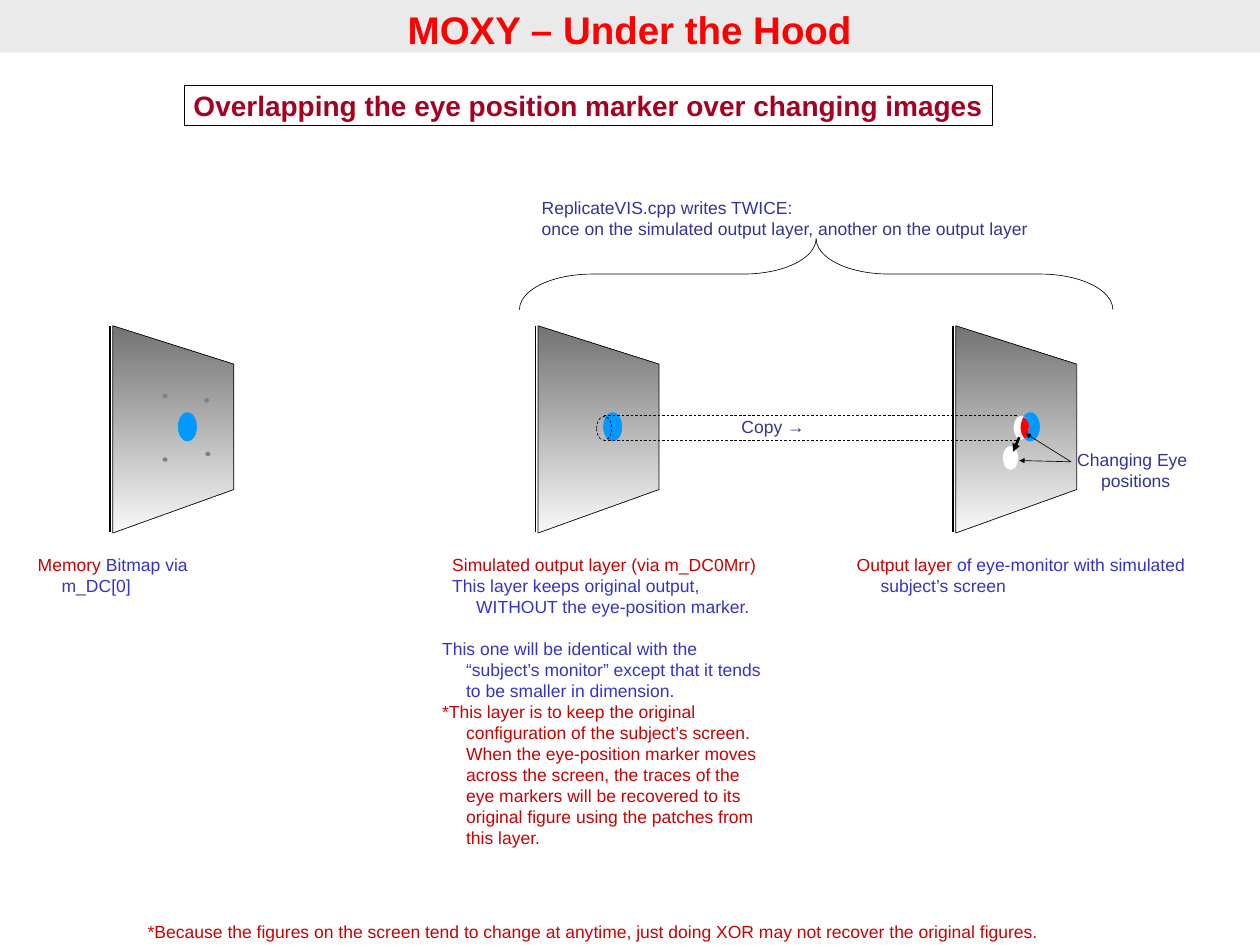
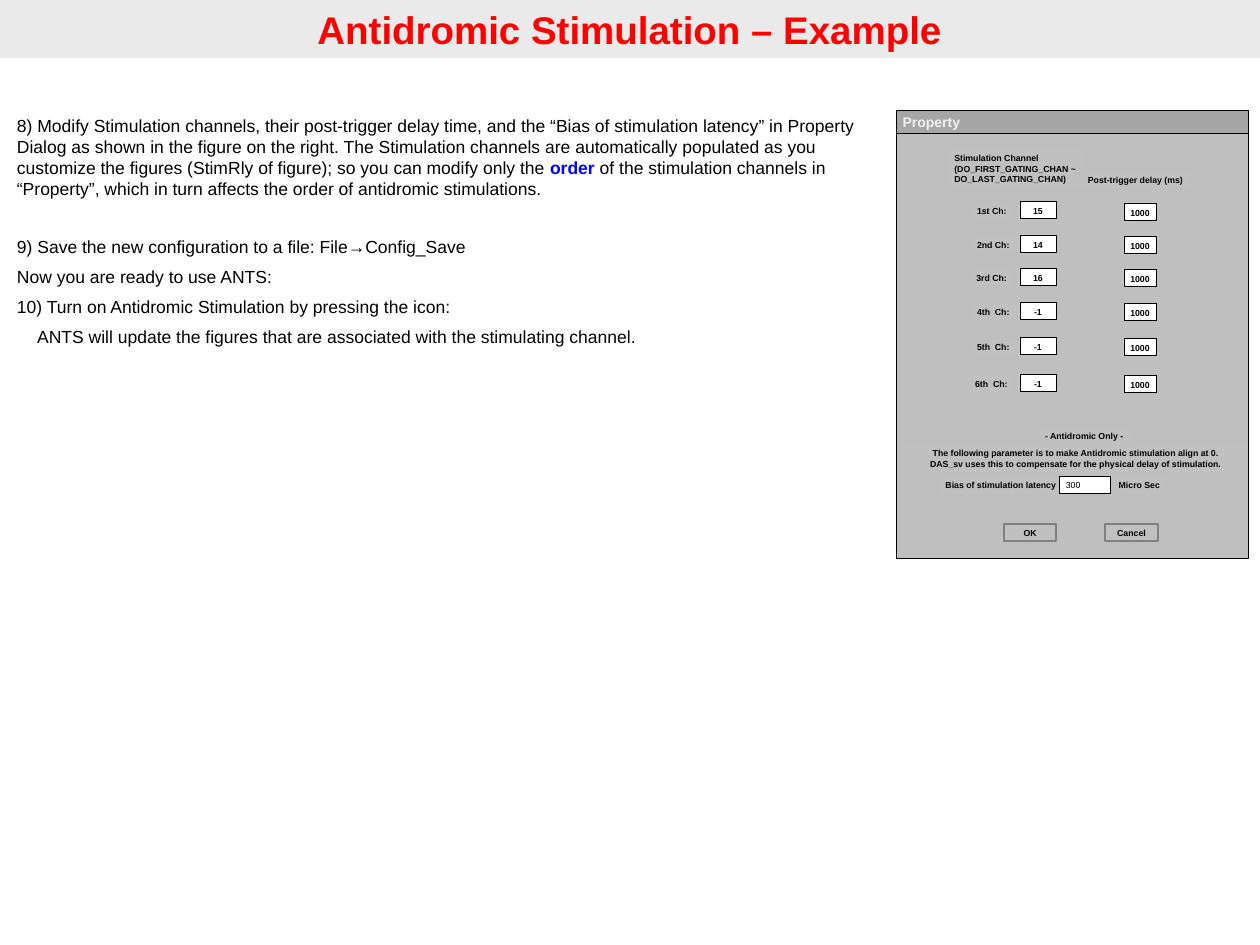
from dataclasses import dataclass

from lxml import etree
from pptx import Presentation
from pptx.dml.color import RGBColor
from pptx.enum import dml, shapes, text
from pptx.oxml.ns import qn
from pptx.util import Emu, Pt

PX = 9144
SLIDE_W, SLIDE_H = 2000, 1500
HANG = 38


@dataclass(frozen=True)
class Theme:
    font: str = "Arial"
    title_size: int = 44
    heading_size: int = 32
    body_size: int = 20
    bar_size: int = 16
    dialog_size: int = 10
    hairline: float = 0.75
    thick: float = 2.25
    heavy: float = 3
    title: str = "FF0000"
    band: str = "EAEAEA"
    heading: str = "A50021"
    red: str = "CC0000"
    blue: str = "3333CC"
    navy: str = "333399"
    accent: str = "0000FF"
    black: str = "000000"
    white: str = "FFFFFF"
    eye: str = "0099FF"
    marker: str = "FF0000"
    grey: str = "808080"
    shade_top: str = "737373"
    shade_bottom: str = "F8F8F8"
    dialog: str = "BFBFBF"
    label: str = "C0C0C0"
    bar: str = "A6A6A6"
    bar_text: str = "F2F2F2"


T = Theme()
LEFT, CENTER = text.PP_ALIGN.LEFT, text.PP_ALIGN.CENTER
TOP, MIDDLE = text.MSO_ANCHOR.TOP, text.MSO_ANCHOR.MIDDLE
RECT, OVAL = shapes.MSO_SHAPE.RECTANGLE, shapes.MSO_SHAPE.OVAL

HOOD_TITLE = "MOXY – Under the Hood"
HOOD_HEADING = "Overlapping the eye position marker over changing images"
SCREENS = [179, 854, 1517]
SCREEN_OUTLINE = [(0, 517), (0, 846), (192, 777), (192, 578)]
DOTS = [(258, 726), (258, 625), (326, 717), (324, 632)]
CAPTIONS = [
    ((50, 875, 375, 77), [[("Memory ", T.red), ("Bitmap via m_DC[0]", T.blue)]]),
    ((708, 875, 508, 110), [
        [("Simulated output layer (via m_DC0Mrr)", T.red)],
        [("This layer keeps original output, WITHOUT the eye-position marker.", T.blue)]]),
    ((1350, 875, 600, 77), [
        [("Output layer", T.red),
         (" of eye-monitor with simulated subject’s screen", T.blue)]]),
    ((692, 1008, 542, 343), [
        [("This one will be identical with the “subject’s monitor” except that it "
          "tends to be smaller in dimension.", T.blue)],
        [("*This layer is to keep the original configuration of the subject’s screen. "
          "When the eye-position marker moves across the screen, the traces of the eye "
          "markers will be recovered to its original figure using the patches from this "
          "layer.", T.red)]]),
    ((1700, 708, 242, 77), [[("Changing Eye positions", T.navy)]]),
    ((850, 308, 875, 77), [
        [("ReplicateVIS.cpp writes TWICE:", T.navy)],
        [("once on the simulated output layer, another on the output layer", T.navy)]]),
    ((1167, 656, 242, 43), [[("Copy →", T.navy)]]),
]
FOOTNOTE = [[("*Because the figures on the screen tend to change at anytime, just doing XOR "
              "may not recover the original figures.", T.red)]]
OVERLAP_START = (1625, 662)
OVERLAP_CURVES = [
    ((1622, 666), (1620, 674), (1620, 680)),
    ((1621, 688), (1623, 693), (1627, 696)),
    ((1630, 693), (1633, 689), (1633, 679)),
    ((1634, 668), (1628, 664), (1625, 662)),
]
COPY_LINES = [660, 699]
ARROWS = [
    ((1700, 733), (1628, 688), T.hairline),
    ((1700, 733), (1618, 731), T.hairline),
    ((1618, 694), (1608, 717), T.heavy),
]

STIM_TITLE = "Antidromic Stimulation – Example"
STEPS = [
    (0, 0, [
        ("8) Modify Stimulation channels, their post-trigger delay time, and the “Bias of "
         "stimulation latency” in Property Dialog as shown in the figure on the right. The "
         "Stimulation channels are automatically populated as you customize the figures "
         "(StimRly of figure); so you can modify only the ", T.black),
        ("order ", T.accent, True),
        ("of the stimulation channels in “Property”, which in turn affects the order of "
         "antidromic stimulations.", T.black)]),
    (43, 0, [("9) Save the new configuration to a file: File→Config_Save", T.black)]),
    (10, 0, [("Now you are ready to use ANTS:", T.black)]),
    (10, 0, [("10) Turn on Antidromic Stimulation by pressing the icon:", T.black)]),
    (10, 32, [("ANTS will update the figures that are associated with the stimulating "
               "channel.", T.black)]),
]
CHANNELS = [
    ("1st Ch:", 1541, 68, 320, "15", "1000"),
    ("2nd Ch:", 1541, 72, 373, "14", "1000"),
    ("3rd Ch:", 1540, 69, 426, "16", "1000"),
    ("4th  Ch:", 1541, 72, 480, "-1", "1000"),
    ("5th  Ch:", 1541, 72, 535, "-1", "1000"),
    ("6th  Ch:", 1538, 72, 594, "-1", "1000"),
]
DIALOG_LABELS = [
    ((1505, 237, 217, 61),
     ["Stimulation Channel", "(DO_FIRST_GATING_CHAN ~", "DO_LAST_GATING_CHAN)"]),
    ((1717, 273, 173, 27), ["Post-trigger delay (ms)"]),
    ((1649, 679, 146, 27), ["- Antidromic Only -"]),
    ((1491, 757, 197, 27), ["Bias of stimulation latency"]),
    ((1766, 757, 86, 27), ["Micro Sec"]),
]
DIALOG_NOTE = ["The following parameter is to make Antidromic stimulation align at 0.",
               "DAS_sv uses this to compensate for the physical delay of stimulation."]
BUTTONS = [("OK", 1593), ("Cancel", 1754)]


def emu(*lengths):
    return [Emu(round(n * PX)) for n in lengths]


def rgb(value):
    return RGBColor.from_string(value)


def paint(sp, fill=None, line=None, weight=T.hairline):
    sp.shadow.inherit = False
    if fill:
        sp.fill.solid()
        sp.fill.fore_color.rgb = rgb(fill)
    else:
        sp.fill.background()
    if line:
        sp.line.color.rgb = rgb(line)
        sp.line.width = Pt(weight)
    else:
        sp.line.fill.background()
    return sp


def add_preset(slide, kind, at, fill=None, line=None, weight=T.hairline):
    return paint(slide.shapes.add_shape(kind, *emu(*at)), fill, line, weight)


def set_indent(p, left, first):
    pPr = p._p.get_or_add_pPr()
    pPr.set("marL", str(left * PX))
    pPr.set("indent", str(first * PX))


def add_runs(p, runs, size, bold=False):
    for words, color, *strong in runs:
        r = p.add_run()
        r.text = words
        r.font.name = T.font
        r.font.size = Pt(size)
        r.font.bold = strong[0] if strong else bold
        r.font.color.rgb = rgb(color)


def write(sp, paragraphs, size=T.body_size, bold=False, align=LEFT, anchor=TOP,
          wrap=True, grow=True, hang=0, margins=(10, 5, 10, 5)):
    tf = sp.text_frame
    tf.word_wrap = wrap
    tf.auto_size = text.MSO_AUTO_SIZE.SHAPE_TO_FIT_TEXT if grow else text.MSO_AUTO_SIZE.NONE
    tf.vertical_anchor = anchor
    tf.margin_left, tf.margin_top, tf.margin_right, tf.margin_bottom = emu(*margins)
    for i, runs in enumerate(paragraphs):
        p = tf.add_paragraph() if i else tf.paragraphs[0]
        p.alignment = align
        if hang:
            set_indent(p, hang, -hang)
        add_runs(p, runs, size, bold)
    return tf


def add_text(slide, at, paragraphs, **style):
    return write(slide.shapes.add_textbox(*emu(*at)), paragraphs, **style)


def add_line(slide, start, end, weight=T.hairline, dash=False, arrow=False):
    c = slide.shapes.add_connector(shapes.MSO_CONNECTOR.STRAIGHT, *emu(*start, *end))
    c.line.color.rgb = rgb(T.black)
    c.line.width = Pt(weight)
    if dash:
        c.line.dash_style = dml.MSO_LINE.DASH
    if arrow:
        etree.SubElement(c.line._get_or_add_ln(), qn("a:tailEnd"), type="triangle")
    etree.SubElement(c._element.spPr, qn("a:effectLst"))


def add_outline(slide, points):
    first, *rest = [tuple(emu(*point)) for point in points]
    builder = slide.shapes.build_freeform(*first, scale=1.0)
    builder.add_line_segments(rest, close=True)
    return builder.convert_to_shape()


def bezier_points(start, curves, steps=8):
    points = [start]
    for a, b, end in curves:
        for t in (i / steps for i in range(1, steps + 1)):
            s = 1 - t
            points.append(tuple(
                s**3 * p0 + 3 * s * s * t * p1 + 3 * s * t * t * p2 + t**3 * p3
                for p0, p1, p2, p3 in zip(start, a, b, end)))
        start = end
    return points


def add_titled_slide(prs, title, band_height):
    slide = prs.slides.add_slide(prs.slide_layouts[5])
    sp = slide.shapes.title
    sp.left, sp.top, sp.width, sp.height = emu(0, 0, SLIDE_W, band_height)
    sp.fill.solid()
    sp.fill.fore_color.rgb = rgb(T.band)
    write(sp, [[(title, T.title)]], size=T.title_size, bold=True, align=CENTER,
          grow=False, margins=(10, 10, 10, 0))
    return slide


def add_screen(slide, x):
    sp = paint(add_outline(slide, [(x + dx, y) for dx, y in SCREEN_OUTLINE]), line=T.black)
    sp.fill.gradient()
    sp.fill.gradient_angle = 270
    for stop, color in zip(sp.fill.gradient_stops, (T.shade_top, T.shade_bottom)):
        stop.color.rgb = rgb(color)
    add_preset(slide, OVAL, (x + 104, 655, 29, 45), T.eye, T.eye)
    add_line(slide, (x - 4, 845), (x - 4, 517), T.thick)


def build_hood(prs):
    slide = add_titled_slide(prs, HOOD_TITLE, 83)
    for x in SCREENS:
        add_screen(slide, x)
    for x, y in DOTS:
        add_preset(slide, OVAL, (x, y, 8, 7), T.grey)
    brace = add_preset(slide, shapes.MSO_SHAPE.RIGHT_BRACE, (1239, -36, 113, 942),
                       line=T.black)
    brace.rotation = 270
    brace.adjustments[0], brace.adjustments[1] = 1.02, 0.5
    for at, paragraphs in CAPTIONS:
        add_text(slide, at, paragraphs, hang=HANG)
    add_preset(slide, OVAL, (1609, 660, 24, 38), T.white)
    paint(add_outline(slide, bezier_points(OVERLAP_START, OVERLAP_CURVES)), T.marker)
    ghost = add_preset(slide, OVAL, (947, 661, 24, 38), line=T.black)
    ghost.line.dash_style = dml.MSO_LINE.DASH
    for y in COPY_LINES:
        add_line(slide, (958, y), (1617, y), dash=True)
    add_preset(slide, OVAL, (1592, 708, 24, 38), T.white)
    for start, end, weight in ARROWS:
        add_line(slide, start, end, weight, arrow=True)
    add_text(slide, (108, 1457, 1667, 43), FOOTNOTE, align=CENTER, hang=HANG)
    heading = add_preset(slide, RECT, (293, 135, 1282, 64), line=T.black)
    write(heading, [[(HOOD_HEADING, T.heading)]], size=T.heading_size, bold=True,
          align=CENTER, wrap=False)


def add_dialog_item(slide, at, lines, fill=T.label, line=None, weight=T.hairline,
                    bold=True, **style):
    sp = add_preset(slide, RECT, at, fill, line, weight)
    write(sp, [[(words, T.black)] for words in lines], size=T.dialog_size, bold=bold,
          anchor=MIDDLE, **style)


def build_dialog(slide):
    add_preset(slide, RECT, (1423, 175, 558, 712), T.dialog, T.black)
    bar = add_preset(slide, RECT, (1423, 175, 558, 37), T.bar, T.black)
    write(bar, [[("Property", T.bar_text)]], size=T.bar_size, bold=True, anchor=MIDDLE,
          wrap=False, grow=False)
    add_dialog_item(slide, (1433, 706, 548, 44), DIALOG_NOTE, align=CENTER)
    for at, lines in DIALOG_LABELS:
        add_dialog_item(slide, at, lines, wrap=False)
    for label, x, width, y, channel, delay in CHANNELS:
        add_dialog_item(slide, (x, y + 2, width, 27), [label], wrap=False)
        for at, value in (((1619, y, 57, 27), channel), ((1784, y + 2, 51, 27), delay)):
            add_dialog_item(slide, at, [value], T.white, T.black, align=CENTER,
                            grow=False, margins=(0, 4, 0, 0))
    add_dialog_item(slide, (1682, 756, 81, 27), ["300"], T.white, T.black, bold=False)
    for name, x in BUTTONS:
        add_dialog_item(slide, (x, 832, 84, 27), [name], T.label, T.grey, T.thick,
                        align=CENTER)


def build_stimulation(prs):
    slide = add_titled_slide(prs, STIM_TITLE, 92)
    tf = add_text(slide, (17, 177, 1378, 397), [runs for _, _, runs in STEPS])
    for p, (before, left, _) in zip(tf.paragraphs, STEPS):
        p.space_before = Pt(before)
        set_indent(p, left, 0)
    build_dialog(slide)


def main():
    prs = Presentation()
    prs.slide_width, prs.slide_height = emu(SLIDE_W, SLIDE_H)
    build_hood(prs)
    build_stimulation(prs)
    prs.save("out.pptx")


if __name__ == "__main__":
    main()
